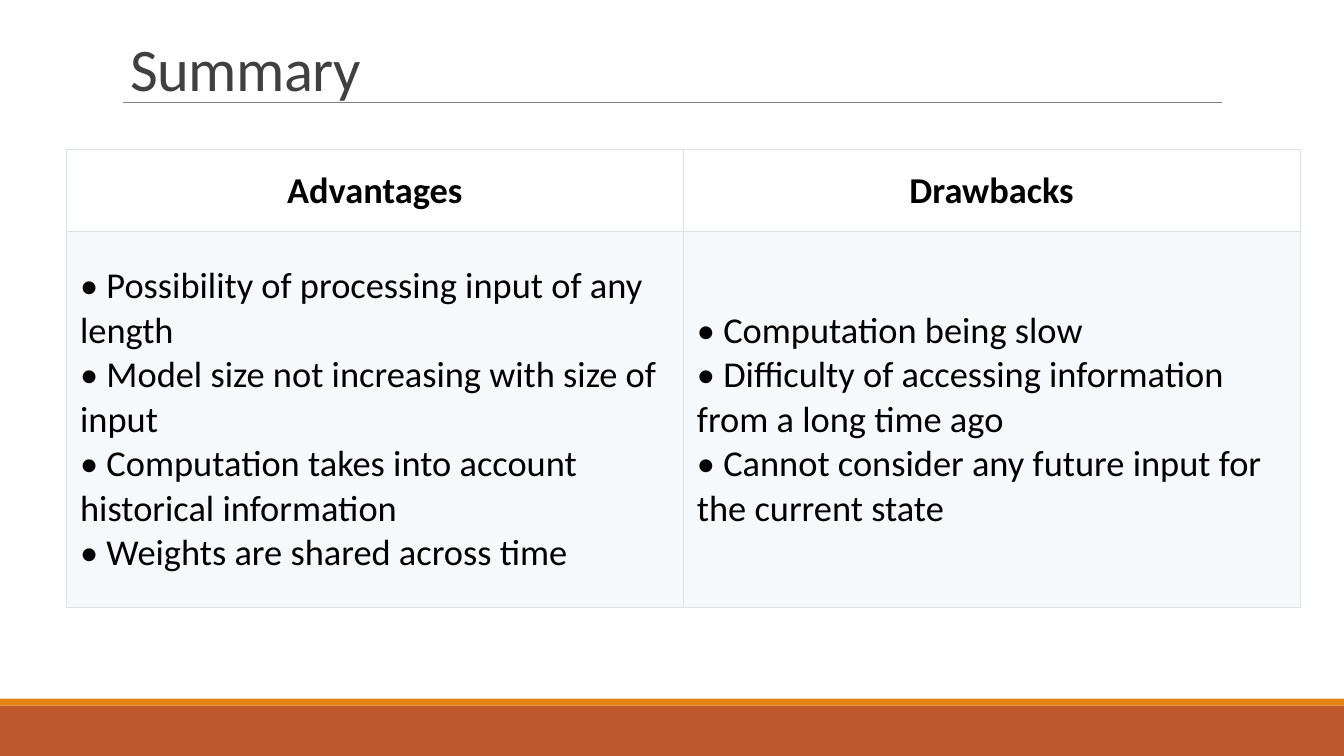
from lxml import etree
from pptx import Presentation
from pptx import util as u
from pptx.dml import color
from pptx.enum import shapes, text
from pptx.oxml import ns

THEME = {
    "font": "Calibri",
    "title": "404040", "title_size": 43.2,
    "ink": "000000", "table_size": 26,
    "rule": "808080", "border": "DFE2E5",
    "footer": "BD582C", "stripe": "E48312",
    "header_fill": "FFFFFF", "body_fill": "F6F8FA",
}


def rgb(name):
    return color.RGBColor.from_string(THEME[name])


def style(para, ink, size, bold=False):
    for span in para.runs:
        values = {"name": THEME["font"], "size": u.Pt(THEME[size]), "bold": bold}
        for key, value in values.items():
            setattr(span.font, key, value)
        span.font.color.rgb = rgb(ink)


deck = Presentation()
deck.slide_width, deck.slide_height = u.Pt(960), u.Pt(540)
page = deck.slides.add_slide(deck.slide_layouts[6])

for fill, top, height in (("footer", 504, 36), ("stripe", 499, 5)):
    band = page.shapes.add_shape(
        shapes.MSO_SHAPE.RECTANGLE, 0, u.Pt(top), u.Pt(960), u.Pt(height))
    band.shadow.inherit = False
    band.fill.solid()
    band.fill.fore_color.rgb = rgb(fill)
    band.line.fill.background()

rule = page.shapes.add_connector(
    shapes.MSO_CONNECTOR.STRAIGHT, u.Pt(87.84), u.Pt(72.8), u.Pt(872.64), u.Pt(72.8))
rule.line.color.rgb = rgb("rule")
rule.line.width = u.Pt(0.5)
etree.SubElement(rule.element.spPr, ns.qn("a:effectLst"))

title = page.shapes.add_textbox(u.Pt(86.4), u.Pt(22.3), u.Pt(792), u.Pt(55.4))
title.text_frame.word_wrap = True
title.text_frame.vertical_anchor = text.MSO_ANCHOR.BOTTOM
para = title.text_frame.paragraphs[0]
para.text = "Summary"
para.line_spacing = 0.85
style(para, "title", "title_size")
para.runs[0].font._element.set("spc", "-50")

rows = [
    ["Advantages", "Drawbacks"],
    [
        "• Possibility of processing input of any length\n"
        "• Model size not increasing with size of input\n"
        "• Computation takes into account historical information\n"
        "• Weights are shared across time",
        "• Computation being slow\n"
        "• Difficulty of accessing information from a long time ago\n"
        "• Cannot consider any future input for the current state",
    ],
]
row_heights = [59, 268.6]
cell_format = {
    "vertical_anchor": text.MSO_ANCHOR.MIDDLE,
    "margin_left": u.Pt(9.75), "margin_right": u.Pt(9.75),
    "margin_top": u.Pt(4.5), "margin_bottom": u.Pt(4.5),
}
table = page.shapes.add_table(
    2, 2, u.Pt(47.5), u.Pt(106.6), u.Pt(881.2), u.Pt(sum(row_heights))).table

for row_index, labels in enumerate(rows):
    table.rows[row_index].height = u.Pt(row_heights[row_index])
    header = row_index == 0
    for column_index, label in enumerate(labels):
        cell = table.cell(row_index, column_index)
        for key, value in cell_format.items():
            setattr(cell, key, value)
        cell.fill.solid()
        cell.fill.fore_color.rgb = rgb("header_fill" if header else "body_fill")
        para = cell.text_frame.paragraphs[0]
        para.text = label
        para.alignment = text.PP_ALIGN.CENTER if header else text.PP_ALIGN.LEFT
        style(para, "ink", "table_size", header)
        properties = cell._tc.get_or_add_tcPr()
        for position, side in enumerate(("lnL", "lnR", "lnT", "lnB")):
            edge = etree.Element(ns.qn("a:" + side), w=str(u.Pt(0.75)))
            paint = etree.SubElement(edge, ns.qn("a:solidFill"))
            etree.SubElement(paint, ns.qn("a:srgbClr"), val=THEME["border"])
            properties.insert(position, edge)

deck.save("out.pptx")
